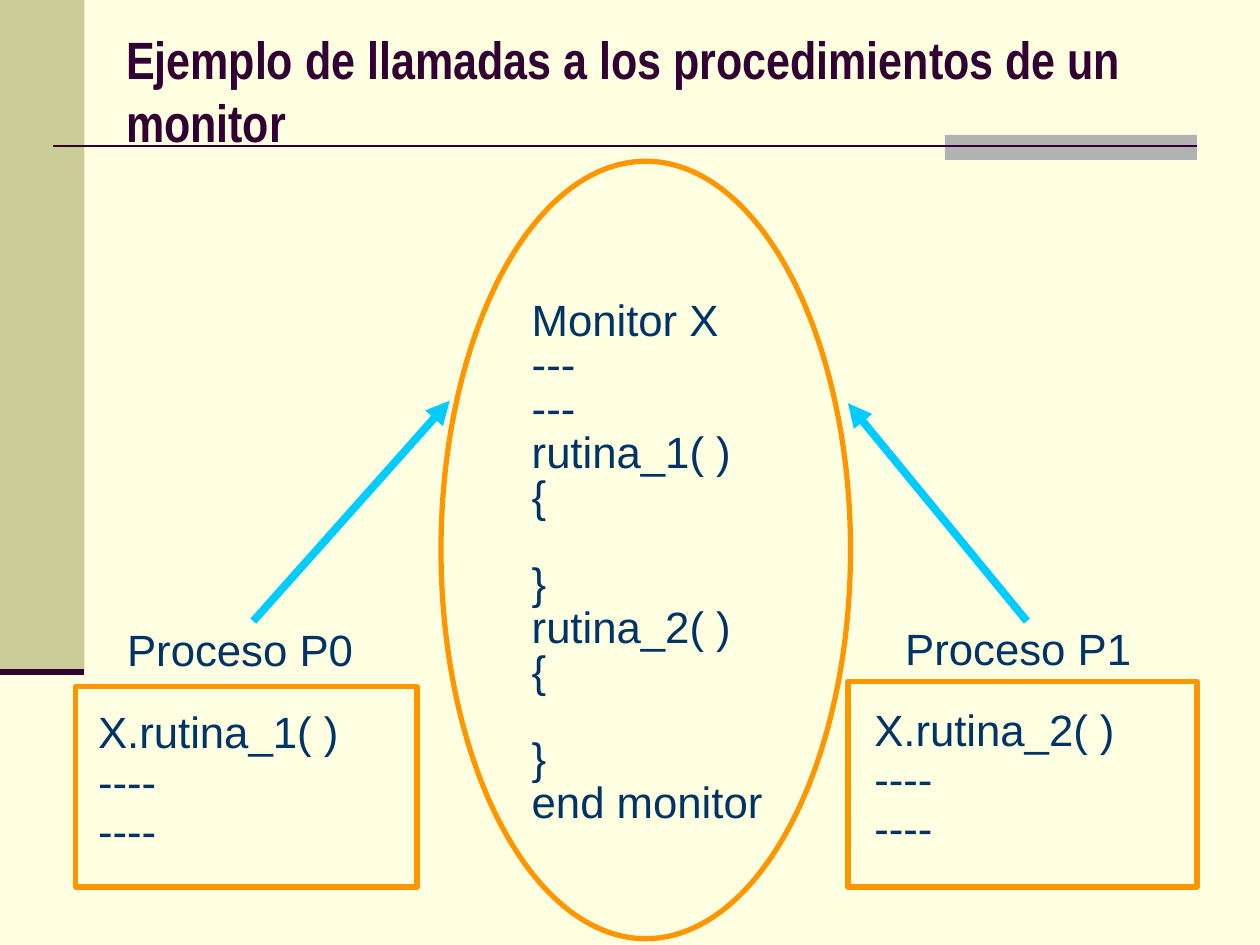
from dataclasses import dataclass

import pptx
import pptx.dml.color
import pptx.enum.shapes
import pptx.enum.text
import pptx.oxml
import pptx.oxml.ns
import pptx.util

Inches = pptx.util.Inches
Pt = pptx.util.Pt
Shape = pptx.enum.shapes.MSO_SHAPE
Align = pptx.enum.text.PP_ALIGN
Anchor = pptx.enum.text.MSO_ANCHOR

COLORS = {
    "background": "FFFFE1",
    "band": "CCCC99",
    "tab": "B2B2B2",
    "title": "330033",
    "text": "003366",
    "outline": "FF9600",
    "arrow": "00CCFF",
}
TEXT_SIZE = 25
PARAGRAPH_GAP = 7.2
BLANK_LINE = 24.4


@dataclass
class Box:
    left: float
    top: float
    width: float
    height: float

    def lengths(self) -> list:
        return [Inches(v) for v in (self.left, self.top, self.width, self.height)]


@dataclass
class Process:
    name: str
    name_box: Box
    frame: Box
    code: list[str]
    code_box: Box
    arrow: tuple[float, float, float, float]


def color(name: str):
    return pptx.dml.color.RGBColor.from_string(COLORS[name])


def add_element(parent, tag: str, **attributes: str) -> None:
    element = pptx.oxml.parse_xml(f"<{tag} {pptx.oxml.ns.nsdecls('a')}/>")
    for key, value in attributes.items():
        element.set(key, value)
    parent.append(element)


def add_filled(slide, box: Box, fill: str) -> None:
    shape = slide.shapes.add_shape(Shape.RECTANGLE, *box.lengths())
    shape.shadow.inherit = False
    shape.fill.solid()
    shape.fill.fore_color.rgb = color(fill)
    shape.line.fill.background()


def add_outline(slide, kind, box: Box) -> None:
    shape = slide.shapes.add_shape(kind, *box.lengths())
    shape.shadow.inherit = False
    shape.fill.background()
    shape.line.color.rgb = color("outline")
    shape.line.width = Pt(3)


def add_line(slide, ends: tuple, name: str, width: float, arrow: bool = False) -> None:
    connector = slide.shapes.add_connector(
        pptx.enum.shapes.MSO_CONNECTOR.STRAIGHT, *[Inches(v) for v in ends])
    connector.line.color.rgb = color(name)
    connector.line.width = Pt(width)
    if arrow:
        add_element(connector.line._get_or_add_ln(), "a:tailEnd", type="triangle")
    add_element(connector._element.spPr, "a:effectLst")


def place(shape, box: Box, anchor) -> None:
    shape.left, shape.top, shape.width, shape.height = box.lengths()
    frame = shape.text_frame
    frame.word_wrap = True
    frame.auto_size = pptx.enum.text.MSO_AUTO_SIZE.NONE
    frame.vertical_anchor = anchor


def write_lines(shape, lines: list[str], spacing: float, indent: float,
                alignment=Align.LEFT) -> None:
    """Write one paragraph per line; an empty line becomes extra space before the next."""
    frame = shape.text_frame
    gap = 0.0
    paragraph = frame.paragraphs[0]
    for index, line in enumerate(lines):
        if not line:
            gap += BLANK_LINE
            continue
        if index:
            paragraph = frame.add_paragraph()
        paragraph.text = line
        paragraph.alignment = alignment
        paragraph.line_spacing = spacing
        paragraph.space_before = Pt(gap)
        properties = paragraph._p.get_or_add_pPr()
        properties.set("marL", str(Inches(indent)))
        properties.set("indent", str(-Inches(indent)))
        add_element(properties, "a:buNone")
        paragraph.font.name = "Arial"
        paragraph.font.size = Pt(TEXT_SIZE)
        paragraph.font.color.rgb = color("text")
        gap = PARAGRAPH_GAP


def add_text(slide, box: Box, lines: list[str], alignment=Align.LEFT) -> None:
    text_box = slide.shapes.add_textbox(*box.lengths())
    place(text_box, box, Anchor.TOP)
    write_lines(text_box, lines, 0.7, 0.19, alignment)


def add_process(slide, process: Process) -> None:
    add_text(slide, process.name_box, [process.name], Align.CENTER)
    add_outline(slide, Shape.RECTANGLE, process.frame)
    add_text(slide, process.code_box, process.code)
    add_line(slide, process.arrow, "arrow", 4.5, arrow=True)


MONITOR_CODE = [
    "Monitor X", "---", "---",
    "rutina_1( )", "{", "", "}",
    "rutina_2( )", "{", "", "}",
    "end monitor",
]
PROCESSES = [
    Process("Proceso P0", Box(0.62, 5.01, 2.57, 0.48), Box(0.6, 5.45, 2.71, 1.59),
            ["X.rutina_1( )", "----", "----"], Box(0.68, 5.66, 2.49, 1.15),
            (2.01, 4.93, 3.57, 3.18)),
    Process("Proceso P1", Box(6.97, 5, 2.22, 0.48), Box(6.73, 5.41, 2.77, 1.63),
            ["X.rutina_2( )", "----", "----"], Box(6.84, 5.64, 2.49, 1.15),
            (8.15, 4.93, 6.73, 3.2)),
]


def main() -> None:
    presentation = pptx.Presentation()
    presentation.slide_width = Inches(10)
    presentation.slide_height = Inches(7.5)
    slide = presentation.slides.add_slide(presentation.slide_layouts[1])
    slide.background.fill.solid()
    slide.background.fill.fore_color.rgb = color("background")

    # Side band, title rule and tab
    add_filled(slide, Box(0, 0, 0.67, 5.33), "band")
    add_filled(slide, Box(7.5, 1.07, 2, 0.2), "tab")
    add_line(slide, (0.42, 1.16, 9.5, 1.16), "title", 1.5)
    add_line(slide, (0, 5.33, 0.67, 5.33), "title", 3.5)

    # Title
    title = slide.shapes.title
    place(title, Box(0.9, 0.28, 8.44, 0.87), Anchor.MIDDLE)
    title.text_frame.text = "Ejemplo de llamadas a los procedimientos de un monitor"
    paragraph = title.text_frame.paragraphs[0]
    paragraph.alignment = Align.LEFT
    paragraph.font.name = "Arial Narrow"
    paragraph.font.size = Pt(30)
    paragraph.font.bold = True
    paragraph.font.color.rgb = color("title")

    # Monitor
    body = slide.placeholders[1]
    place(body, Box(4.12, 2.26, 2.22, 4.5), Anchor.MIDDLE)
    write_lines(body, MONITOR_CODE, 0.6, 0.42)
    add_outline(slide, Shape.OVAL, Box(3.5, 1.28, 3.25, 6.17))

    # Processes calling the monitor
    for process in PROCESSES:
        add_process(slide, process)

    presentation.save("out.pptx")


if __name__ == "__main__":
    main()
